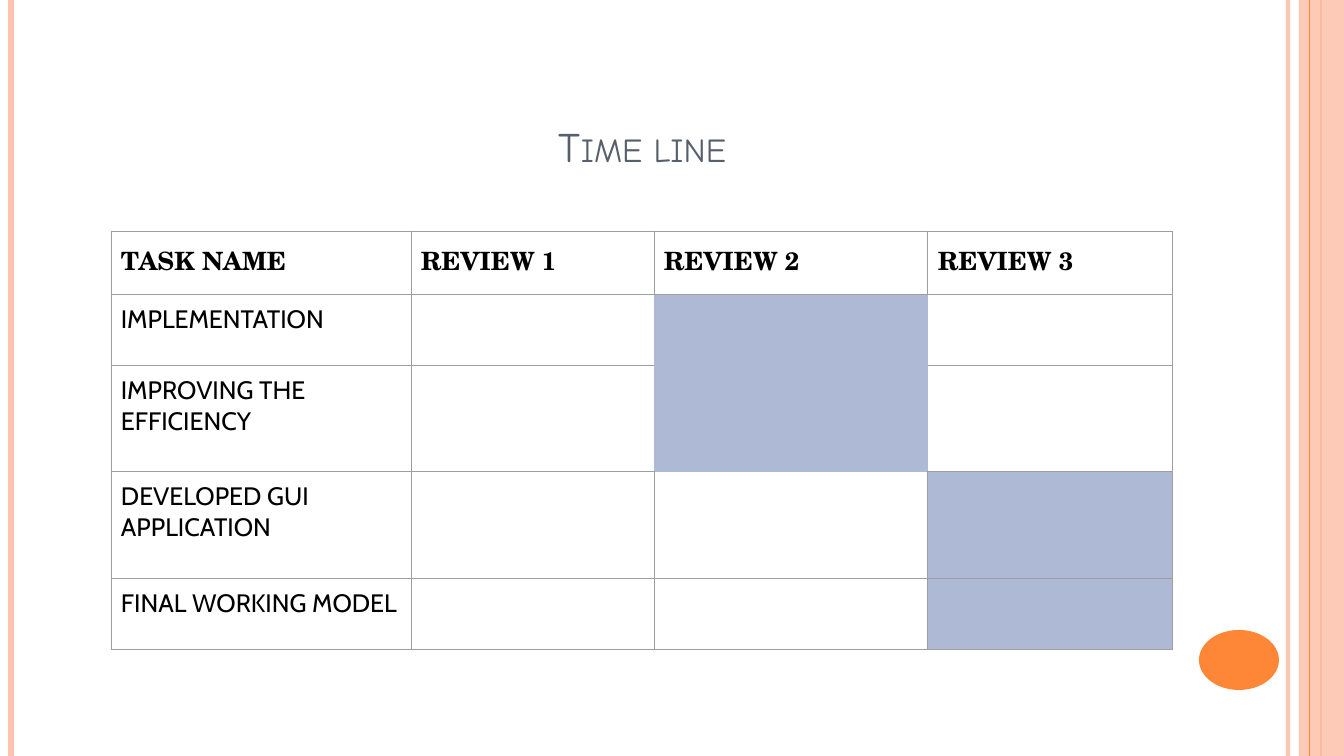
from dataclasses import dataclass

from lxml import etree
from pptx import Presentation
from pptx.dml.color import RGBColor
from pptx.enum.shapes import MSO_CONNECTOR, MSO_SHAPE
from pptx.enum.text import MSO_ANCHOR, PP_ALIGN
from pptx.oxml import parse_xml
from pptx.oxml.ns import nsdecls, qn
from pptx.util import Pt

PX = 914400 / 100.8
WIDE, HIGH = 1344, 756
LINE = MSO_CONNECTOR.STRAIGHT
RECT, OVAL = MSO_SHAPE.RECTANGLE, MSO_SHAPE.OVAL
LEFT, CENTER = PP_ALIGN.LEFT, PP_ALIGN.CENTER
BOTTOM = MSO_ANCHOR.BOTTOM


@dataclass(frozen=True)
class Theme:
    """Colours, fonts and type sizes of the slide."""
    peach: str = "FEC3AE"
    orange: str = "FE8637"
    slate: str = "575F6D"
    ink: str = "000000"
    blue: str = "AEBAD5"
    gray: str = "9E9E9E"
    title_font: str = "Comic Neue"
    head_font: str = "TeX Gyre Schola"
    body_font: str = "Cabin"
    title_size: int = 30
    cell_size: int = 18
    rule: float = 0.75


THEME = Theme()
HEADS = ["TASK NAME", "REVIEW 1", "REVIEW 2", "REVIEW 3"]
TASKS = ["IMPLEMENTATION", "IMPROVING THE EFFICIENCY",
         "DEVELOPED GUI APPLICATION", "FINAL WORKING MODEL"]
COLS = [300, 243, 274, 245]
ROWS = [71, 106, 107, 71]
JOINED = {(0, 2), (1, 2)}
DONE = JOINED | {(2, 3), (3, 3)}
SIDES = {"lnL": (0, -1), "lnR": (0, 1), "lnT": (-1, 0), "lnB": (1, 0)}


def px(n):
    """Turn pixels into EMU."""
    return round(n * PX)


def box(*sizes):
    """Turn several pixel lengths into EMU."""
    return [px(n) for n in sizes]


def rgb(code):
    """Make a colour from its hex code."""
    return RGBColor.from_string(code)


def fade(shape, alpha):
    """Set the opacity, in percent, of a shape's first colour."""
    tint = shape._element.spPr.find(".//" + qn("a:srgbClr"))
    etree.SubElement(tint, qn("a:alpha")).set("val", str(alpha * 1000))


def write(frame, text, *, font, size, color, bold=False, caps=False,
          align=LEFT):
    """Put one formatted run of text in a frame."""
    par = frame.paragraphs[0]
    par.alignment = align
    run = par.add_run()
    run.text = text
    run.font.name, run.font.size = font, Pt(size)
    run.font.bold, run.font.color.rgb = bold, rgb(color)
    if caps:
        run.font._element.set("cap", "small")


def add_bar(slide, x, color, width, alpha=100):
    """Draw a line down the whole slide."""
    bar = slide.shapes.add_connector(LINE, *box(x, 0, x, HIGH))
    bar.line.color.rgb, bar.line.width = rgb(color), Pt(width)
    etree.SubElement(bar._element.spPr, qn("a:effectLst"))
    if alpha < 100:
        fade(bar, alpha)


def add_block(slide, kind, area, color, alpha=100):
    """Draw a filled shape with no outline."""
    block = slide.shapes.add_shape(kind, *box(*area))
    block.shadow.inherit = False
    block.fill.solid()
    block.fill.fore_color.rgb = rgb(color)
    block.line.fill.background()
    if alpha < 100:
        fade(block, alpha)


def add_edges(cell, colors):
    """Draw the four borders of a cell, ahead of its fill."""
    for i, (side, color) in enumerate(zip(SIDES, colors)):
        edge = parse_xml(
            f'<a:{side} {nsdecls("a")} w="{Pt(THEME.rule)}"><a:solidFill>'
            f'<a:srgbClr val="{color}"/></a:solidFill></a:{side}>')
        cell._tc.get_or_add_tcPr().insert(i, edge)


def add_grid(slide, top, rows, texts, style, done=(), joined=()):
    """Add a table; done cells are filled, joined ones hide their edges."""
    area = box(111, top, sum(COLS), sum(rows))
    grid = slide.shapes.add_table(len(rows), len(COLS), *area).table
    grid.first_row = grid.horz_banding = False
    for c, width in enumerate(COLS):
        grid.columns[c].width = px(width)
    for r, height in enumerate(rows):
        grid.rows[r].height = px(height)
        for c in range(len(COLS)):
            cell = grid.cell(r, c)
            cell.margin_left = cell.margin_right = px(10)
            cell.margin_top = cell.margin_bottom = px(10)
            if (r, c) in done:
                cell.fill.solid()
                cell.fill.fore_color.rgb = rgb(THEME.blue)
            else:
                cell.fill.background()
            add_edges(cell, [
                THEME.blue if joined and {(r, c), (r + dr, c + dc)} & joined
                else THEME.gray for dr, dc in SIDES.values()])
            if c < len(texts[r]):
                write(cell.text_frame, texts[r][c], size=THEME.cell_size,
                      color=THEME.ink, **style)


def add_title(slide, text):
    """Place and fill the title."""
    title = slide.shapes.title
    title.left, title.top, title.width, title.height = box(90, 77, 1105, 99)
    title.text_frame.vertical_anchor = BOTTOM
    write(title.text_frame, text, font=THEME.title_font, caps=True,
          size=THEME.title_size, color=THEME.slate, align=CENTER)


def add_frame(slide):
    """Draw the bars at both sides and the oval."""
    add_bar(slide, 1288, THEME.peach, 3, alpha=93)
    add_bar(slide, 11, THEME.peach, 4.5)
    add_bar(slide, 1321, THEME.orange, 1.5)
    add_block(slide, RECT, (1299, 0, 45, HIGH), THEME.peach, alpha=87)
    add_bar(slide, 1310, THEME.orange, THEME.rule)
    add_block(slide, OVAL, (1199, 630, 80, 60), THEME.orange)


def main():
    """Build and save the slide."""
    deck = Presentation()
    deck.slide_width, deck.slide_height = box(WIDE, HIGH)
    slide = deck.slides.add_slide(deck.slide_layouts[5])
    add_frame(slide)
    add_title(slide, "Time line")
    add_grid(slide, 294, ROWS, [[task] for task in TASKS],
             {"font": THEME.body_font}, DONE, JOINED)
    add_grid(slide, 231, [63], [HEADS],
             {"font": THEME.head_font, "bold": True})
    deck.save("out.pptx")


main()
